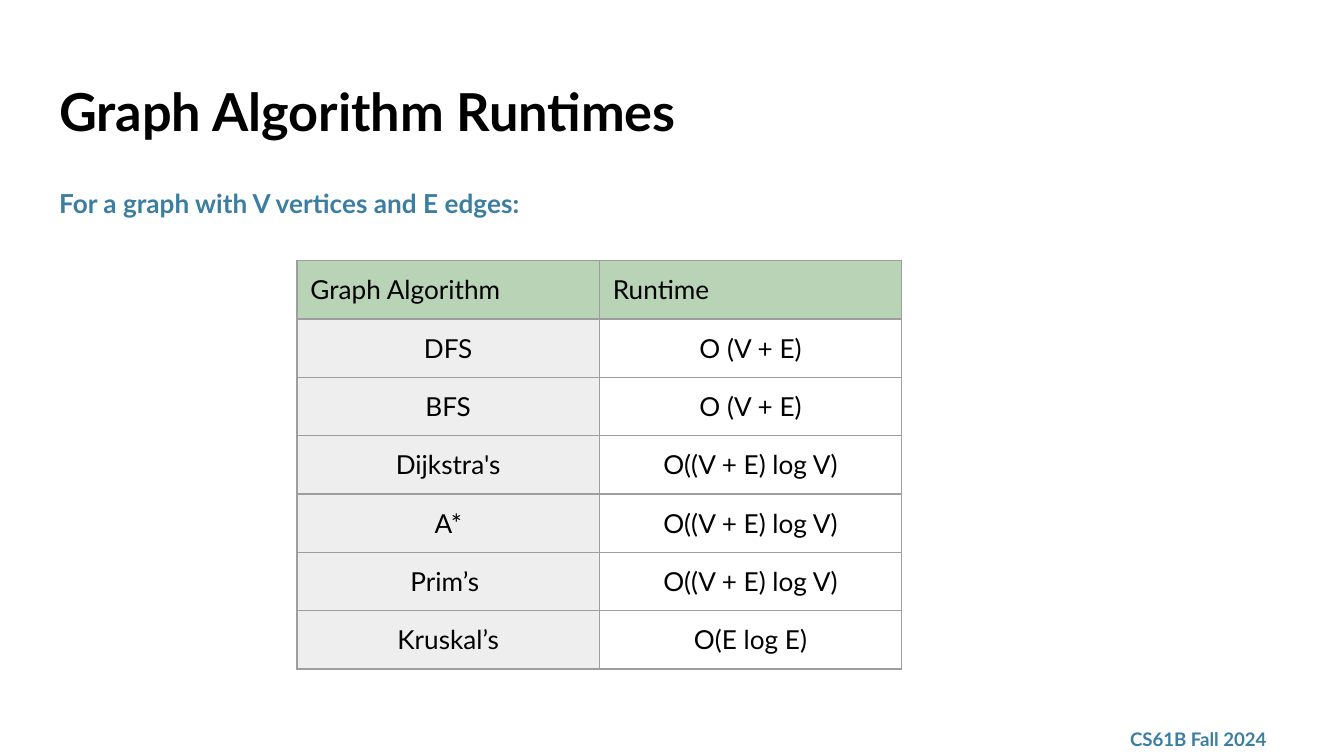
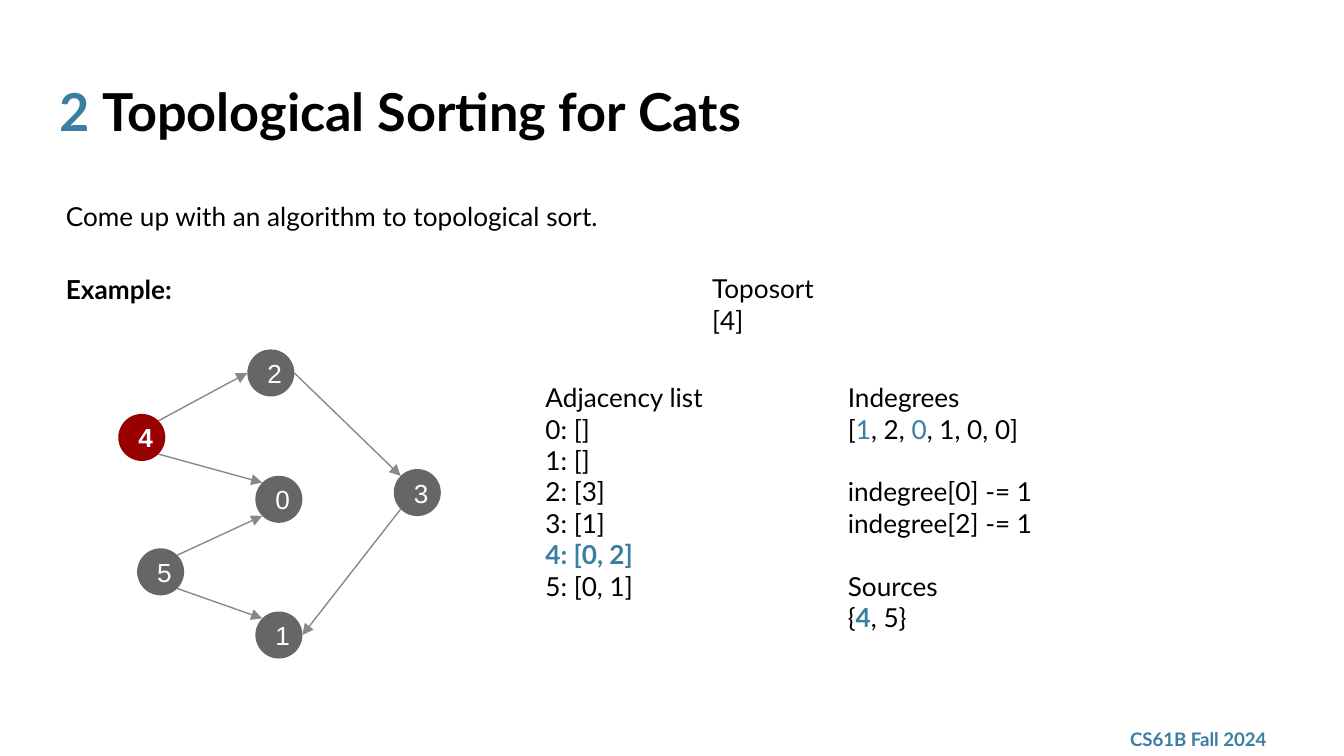
import math

from lxml import etree
from pptx import Presentation
from pptx import util as u
from pptx.dml.color import RGBColor
from pptx.enum import shapes, text
from pptx.oxml.ns import qn

UNIT = 0.1
COLUMNS, ROWS = 100, 56.25
BLUE, BLACK, WHITE = "3B7EA1", "000000", "FFFFFF"
HEADER_GREEN, NAME_GRAY, BORDER_GRAY = "B9D3B6", "EEEEEE", "9E9E9E"
NODE_GRAY, NODE_RED, EDGE_GRAY = "666666", "980000", "888888"
BLANK_LINE = 16.8
NODE_SIZE = 3.5
ANGLES = {"right": 0, "lower right": 45, "lower left": 135,
          "left": 180, "upper left": 225, "upper right": 315}


def grid(count):
    return u.Inches(count * UNIT)


def color(value):
    return RGBColor.from_string(value)


def set_insets(target):
    for side in ("left", "right", "top", "bottom"):
        setattr(target, f"margin_{side}", grid(1))


def write(frame, lines, size=14, font="Lato", ink=BLACK, bold=False,
          align=text.PP_ALIGN.LEFT, spacing=1.0, gaps=()):
    for index, line in enumerate(lines):
        paragraph = frame.paragraphs[0] if index == 0 else frame.add_paragraph()
        paragraph.alignment = align
        paragraph.line_spacing = spacing
        paragraph.space_before = u.Pt(BLANK_LINE * spacing if index in gaps else 0)
        for part in [line] if isinstance(line, str) else line:
            words, changes = (part, {}) if isinstance(part, str) else part
            run = paragraph.add_run()
            run.text = words
            run.font.name = font
            run.font.size = u.Pt(size)
            run.font.bold = changes.get("bold", bold)
            run.font.color.rgb = color(changes.get("ink", ink))


class Deck:
    def __init__(self):
        self.presentation = Presentation()
        self.presentation.slide_width = grid(COLUMNS)
        self.presentation.slide_height = grid(ROWS)
        self.slide = None

    def start_slide(self, title):
        layout = self.presentation.slide_layouts[1]
        self.slide = self.presentation.slides.add_slide(layout)
        self.text_box(83.1, 53.7, 13.5, 2.6, ["CS61B Fall 2024"],
                      anchor=text.MSO_ANCHOR.MIDDLE, size=10, ink=BLUE, bold=True)
        self.placeholder(self.slide.shapes.title, 3.4, 4.9, 93.2, 6.3,
                         [title], size=28, bold=True)

    def prepare(self, shape, anchor=text.MSO_ANCHOR.TOP):
        frame = shape.text_frame
        frame.word_wrap = True
        frame.auto_size = text.MSO_AUTO_SIZE.NONE
        frame.vertical_anchor = anchor
        set_insets(frame)
        return frame

    def placeholder(self, shape, left, top, width, height, lines, **style):
        shape.left, shape.top = grid(left), grid(top)
        shape.width, shape.height = grid(width), grid(height)
        frame = self.prepare(shape)
        write(frame, lines, **style)
        for paragraph in frame.paragraphs:
            properties = paragraph._p.get_or_add_pPr()
            properties.set("marL", "0")
            properties.set("indent", "0")
            etree.SubElement(properties, qn("a:buNone"))

    def body(self, left, top, width, height, lines, **style):
        self.placeholder(self.slide.placeholders[1], left, top, width, height,
                         lines, spacing=1.15, **style)

    def text_box(self, left, top, width, height, lines,
                 anchor=text.MSO_ANCHOR.TOP, **style):
        shape = self.slide.shapes.add_textbox(
            grid(left), grid(top), grid(width), grid(height))
        write(self.prepare(shape, anchor), lines, **style)

    def node(self, left, top, label, fill=NODE_GRAY, bold=False):
        shape = self.slide.shapes.add_shape(
            shapes.MSO_SHAPE.OVAL, grid(left), grid(top),
            grid(NODE_SIZE), grid(NODE_SIZE))
        shape.shadow.inherit = False
        shape.fill.solid()
        shape.fill.fore_color.rgb = color(fill)
        shape.line.fill.background()
        write(self.prepare(shape, text.MSO_ANCHOR.MIDDLE), [label], font="Arial",
              ink=WHITE, bold=bold, align=text.PP_ALIGN.CENTER)

    def arrow(self, start, end):
        connector = self.slide.shapes.add_connector(
            shapes.MSO_CONNECTOR.STRAIGHT, *map(grid, start + end))
        connector.line.color.rgb = color(EDGE_GRAY)
        connector.line.width = u.Pt(0.75)
        line = connector.line._get_or_add_ln()
        etree.SubElement(line, qn("a:tailEnd"), type="triangle")
        etree.SubElement(connector._element.spPr, qn("a:effectLst"))

    def border(self, cell):
        properties = cell._tc.get_or_add_tcPr()
        for index, side in enumerate(("lnL", "lnR", "lnT", "lnB")):
            line = etree.Element(qn(f"a:{side}"), w=str(u.Pt(0.75)))
            fill = etree.SubElement(line, qn("a:solidFill"))
            etree.SubElement(fill, qn("a:srgbClr"), val=BORDER_GRAY)
            properties.insert(index, line)

    def table(self, left, top, column_width, row_height, rows):
        shape = self.slide.shapes.add_table(
            len(rows), len(rows[0]), grid(left), grid(top),
            grid(column_width * len(rows[0])), grid(row_height * len(rows)))
        table = shape.table
        table.first_row = table.horz_banding = False
        for column in table.columns:
            column.width = grid(column_width)
        for row_index, row in enumerate(rows):
            table.rows[row_index].height = grid(row_height)
            for column_index, words in enumerate(row):
                cell = table.cell(row_index, column_index)
                header = row_index == 0
                set_insets(cell)
                if header or column_index == 0:
                    cell.fill.solid()
                    cell.fill.fore_color.rgb = color(HEADER_GREEN if header else NAME_GRAY)
                else:
                    cell.fill.background()
                self.border(cell)
                write(cell.text_frame, [words],
                      align=text.PP_ALIGN.LEFT if header else text.PP_ALIGN.CENTER)


def add_runtimes(deck):
    deck.start_slide("Graph Algorithm Runtimes")
    deck.body(3.4, 12.6, 93.2, 11.3, ["For a graph with V vertices and E edges:"],
              ink=BLUE, bold=True)
    deck.table(22.1, 19.4, 22.5, 4.3, [
        ("Graph Algorithm", "Runtime"),
        ("DFS", "O (V + E)"),
        ("BFS", "O (V + E)"),
        ("Dijkstra's", "O((V + E) log V)"),
        ("A*", "O((V + E) log V)"),
        ("Prim’s ", "O((V + E) log V)"),
        ("Kruskal’s", "O(E log E)"),
    ])


def add_graph(deck):
    nodes = {"5": (10.2, 40.8), "4": (8.8, 30.8), "0": (19, 35.4),
             "2": (18.4, 26), "1": (19, 45.5), "3": (29.3, 34.9)}
    edges = [("5", "lower right", "1", "upper left"),
             ("5", "upper right", "0", "lower left"),
             ("4", "lower right", "0", "upper left"),
             ("4", "upper right", "2", "left"),
             ("2", "right", "3", "upper left"),
             ("3", "lower left", "1", "right")]

    def rim(label, site):
        angle = math.radians(ANGLES[site])
        radius = NODE_SIZE / 2
        left, top = nodes[label]
        return (left + radius * (1 + math.cos(angle)),
                top + radius * (1 + math.sin(angle)))

    for label, (left, top) in nodes.items():
        current = label == "4"
        deck.node(left, top, label, NODE_RED if current else NODE_GRAY, current)
    for source, exit_site, target, entry_site in edges:
        deck.arrow(rim(source, exit_site), rim(target, entry_site))


def add_topological_sort(deck):
    blue = {"ink": BLUE}
    strong = {"ink": BLUE, "bold": True}
    deck.start_slide([("2 ", blue), "Topological Sorting for Cats"])
    deck.body(3.9, 13.6, 89.7, 9.8,
              ["Come up with an algorithm to topological sort.",
               [("Example:", {"bold": True})]], gaps=(1,))
    add_graph(deck)
    deck.text_box(39.6, 27.4, 15.8, 18.5,
                  ["Adjacency list", "0: []", "1: []", "2: [3]", "3: [1]",
                   [("4: [0, 2]", strong)], "5: [0, 1]"])
    deck.text_box(62.1, 27.4, 22.5, 20.9,
                  ["Indegrees",
                   ["[", ("1", blue), ", 2, ", ("0", blue), ", 1, 0, 0]"],
                   "indegree[0] -= 1", "indegree[2] -= 1",
                   "Sources", ["{", ("4", strong), ", 5}"]], gaps=(2, 4))
    deck.text_box(52, 19.3, 15.8, 6.7, ["Toposort", "[4]"])


def main():
    deck = Deck()
    add_runtimes(deck)
    add_topological_sort(deck)
    deck.presentation.save("out.pptx")


if __name__ == "__main__":
    main()
